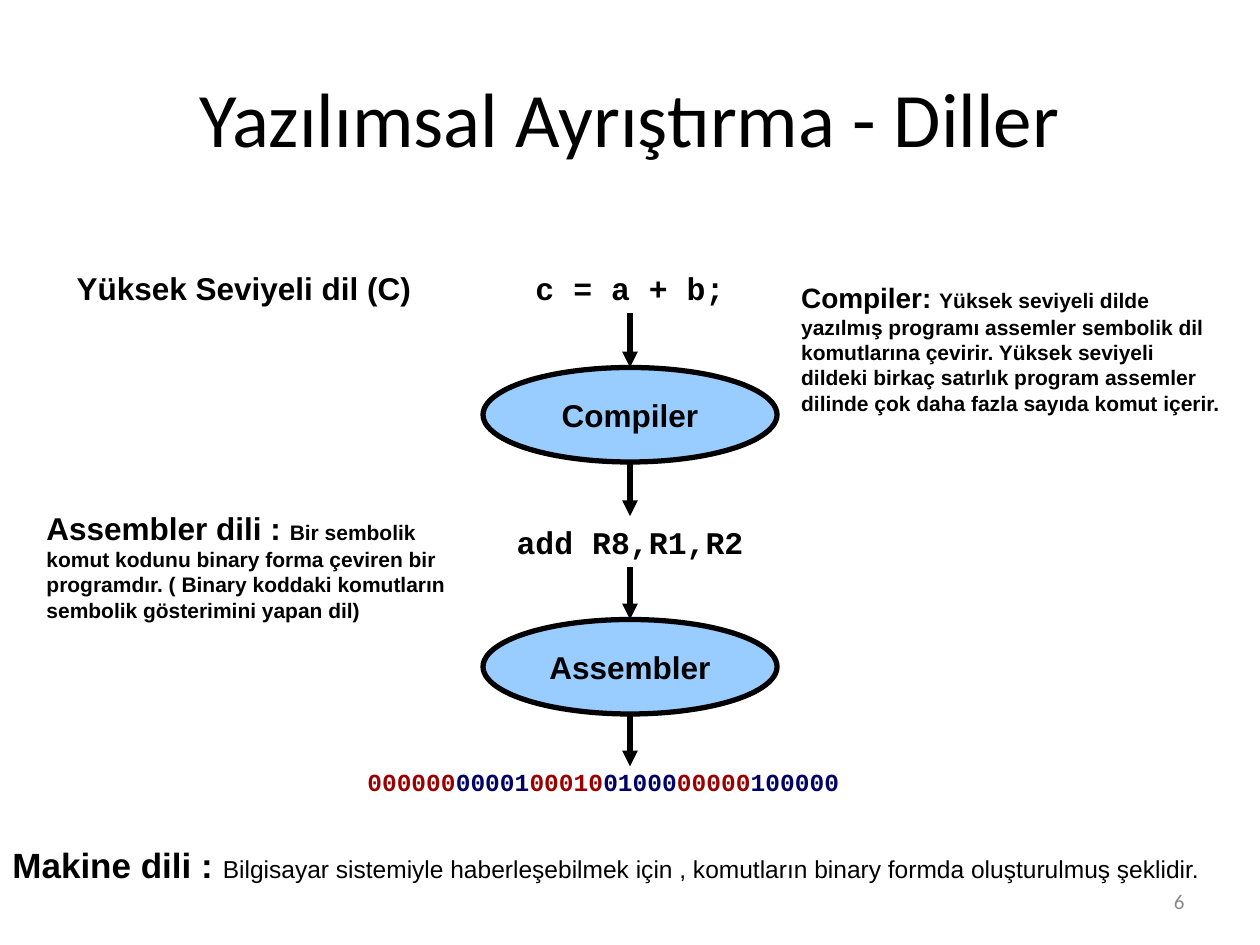
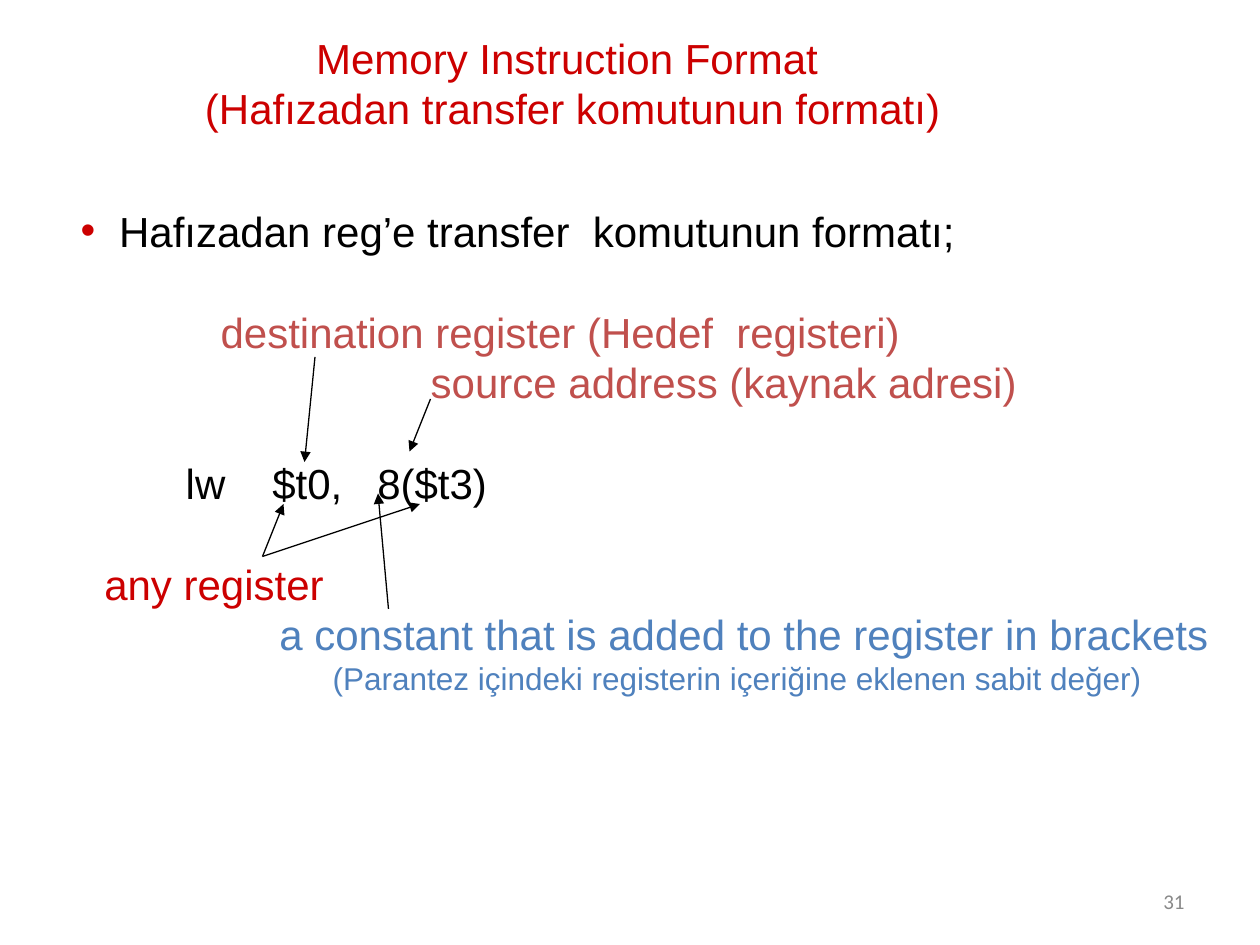
from itertools import cycle
from lxml.etree import SubElement
from pptx import Presentation
from pptx.dml.color import RGBColor
from pptx.enum.shapes import MSO_CONNECTOR, MSO_SHAPE
from pptx.enum.text import MSO_ANCHOR, PP_ALIGN
from pptx.oxml.ns import qn
from pptx.util import Pt

BLACK = RGBColor(0x00, 0x00, 0x00)
WHITE = RGBColor(0xFF, 0xFF, 0xFF)
GRAY = RGBColor(0x89, 0x89, 0x89)
SKY = RGBColor(0x99, 0xCC, 0xFF)
RED = RGBColor(0xCC, 0x00, 0x00)
BRICK = RGBColor(0xC0, 0x50, 0x4D)
BLUE = RGBColor(0x4F, 0x81, 0xBD)
MAROON = RGBColor(0x99, 0x00, 0x00)
NAVY = RGBColor(0x00, 0x00, 0x66)
SANS, TITLE, MONO = "Arial", "Calibri", "Courier New"
LEFT, MID, RIGHT = PP_ALIGN.LEFT, PP_ALIGN.CENTER, PP_ALIGN.RIGHT
LEAD = 1.2
AXIS = 360


def style(font, size=None, color=None, name=None, bold=None):
    if size:
        font.size = Pt(size)
    if color is not None:
        font.color.rgb = color
    if name:
        font.name = name
    if bold is not None:
        font.bold = bold


def add_box(slide, box, anchor=MSO_ANCHOR.MIDDLE):
    shape = slide.shapes.add_textbox(*map(Pt, box))
    shape.text_frame.word_wrap = True
    shape.text_frame.vertical_anchor = anchor
    return shape


def add_text(slide, box, text, size, name=SANS, color=BLACK, bold=False, align=LEFT):
    shape = add_box(slide, box)
    para = shape.text_frame.paragraphs[0]
    para.text = text
    para.alignment = align
    style(para.font, size, color, name, bold)
    return shape


def add_note(slide, box, term, big, text, small, bold=True, anchor=MSO_ANCHOR.MIDDLE):
    """A bold term, then its meaning in smaller type."""
    para = add_box(slide, box, anchor).text_frame.paragraphs[0]
    style(para.font, color=BLACK, name=SANS)
    for part, size, heavy in ((term, big, True), (text, small, bold)):
        run = para.add_run()
        run.text = part
        style(run.font, size, bold=heavy)


def add_arrow(slide, start, end, width):
    line = slide.shapes.add_connector(MSO_CONNECTOR.STRAIGHT, *map(Pt, start + end))
    line.line.color.rgb = BLACK
    line.line.width = Pt(width)
    SubElement(line.line._get_or_add_ln(), qn("a:tailEnd"), type="triangle")
    SubElement(line._element.spPr, qn("a:effectLst"))
    return line


def new_slide(deck, number):
    slide = deck.slides.add_slide(deck.slide_layouts[6])
    slide.background.fill.solid()
    slide.background.fill.fore_color.rgb = WHITE
    add_text(slide, (516, 500.5, 168, 28.75), number, 12, TITLE, GRAY, align=RIGHT)
    return slide


def add_code(slide, top, text):
    return add_text(slide, (AXIS - 75, top, 150, 29), text, 18, MONO, bold=True, align=MID)


def add_stage(slide, top, name, source, target=None):
    """A translator ellipse with an arrow in from its source and one out."""
    wide, high, gap = 168, 54, 30
    oval = slide.shapes.add_shape(
        MSO_SHAPE.OVAL, *map(Pt, (AXIS - wide / 2, top, wide, high)))
    oval.shadow.inherit = False
    oval.fill.solid()
    oval.fill.fore_color.rgb = SKY
    oval.line.color.rgb = BLACK
    oval.line.width = Pt(3)
    oval.text_frame.vertical_anchor = MSO_ANCHOR.MIDDLE
    para = oval.text_frame.paragraphs[0]
    para.text = name
    para.alignment = MID
    style(para.font, 18, BLACK, SANS, True)
    base = top + high
    enter = add_arrow(slide, (AXIS, top - gap), (AXIS, top), 3)
    enter.begin_connect(source, 2)
    enter.end_connect(oval, 0)
    leave = add_arrow(slide, (AXIS, base), (AXIS, base + gap), 3)
    if target is not None:
        leave.end_connect(target, 0)


def add_bits(slide, box, fields):
    para = add_box(slide, box).text_frame.paragraphs[0]
    para.alignment = MID
    style(para.font, 14, name=MONO, bold=True)
    for field, color in zip(fields, cycle((MAROON, NAVY))):
        run = para.add_run()
        run.text = field
        style(run.font, color=color)


def draw_langs(deck):
    slide = new_slide(deck, "6")
    add_text(slide, (36, 21.6, 648, 90), "Yazılımsal Ayrıştırma - Diller", 44, TITLE, align=MID)
    add_text(slide, (36.75, 150, 220, 29), "Yüksek Seviyeli dil (C)", 18, bold=True)
    high = add_code(slide, 150, "c = a + b;")
    low = add_code(slide, 295, "add R8,R1,R2")
    add_stage(slide, 210, "Compiler", high, low)
    add_stage(slide, 354, "Assembler", low)
    add_bits(slide, (95.75, 434.25, 498, 24.5),
             ("000000", "00001", "00010", "01000", "00000", "100000"))
    add_note(slide, (450.75, 157, 255, 84), "Compiler: ", 16,
             "Yüksek seviyeli dilde yazılmış programı assemler sembolik dil "
             "komutlarına çevirir. Yüksek seviyeli dildeki birkaç satırlık program "
             "assemler dilinde çok daha fazla sayıda komut içerir.", 12,
             anchor=MSO_ANCHOR.TOP)
    add_note(slide, (19.5, 287.25, 255, 72), "Assembler dili : ", 18,
             "Bir sembolik komut kodunu binary forma çeviren bir programdır. "
             "( Binary koddaki komutların sembolik gösterimini yapan dil)", 12)
    add_note(slide, (0, 478, 704, 31.5), "Makine dili : ", 20,
             "Bilgisayar sistemiyle haberleşebilmek için , komutların binary formda "
             "oluşturulmuş şeklidir.", 14, bold=False)


def add_bullet(para, hang):
    props = para._p.get_or_add_pPr()
    props.set("indent", str(-Pt(hang)))
    tint = SubElement(props, qn("a:buClr"))
    SubElement(tint, qn("a:srgbClr"), val=str(RED))
    SubElement(props, qn("a:buFont"), typeface=SANS)
    SubElement(props, qn("a:buChar"), char="•")


def add_tabs(para, stops):
    tabs = SubElement(para._p.get_or_add_pPr(), qn("a:tabLst"))
    for stop in stops:
        SubElement(tabs, qn("a:tab"), pos=str(Pt(stop)), algn="l")


def add_lines(slide, box, rows, align=LEFT):
    """Rows of (text, size, colour, indent, blank lines above, bullet, tabs)."""
    frame = add_box(slide, box, MSO_ANCHOR.TOP).text_frame
    for at, (text, size, color, indent, skip, dot, stops) in enumerate(rows):
        para = frame.add_paragraph() if at else frame.paragraphs[0]
        para.text = text
        para.alignment = align
        para.line_spacing = Pt(size * LEAD)
        if skip:
            para.space_before = Pt(skip * size * LEAD)
        para._p.get_or_add_pPr().set("marL", str(Pt(indent)))
        if dot:
            add_bullet(para, indent)
        if stops:
            add_tabs(para, stops)
        style(para.font, size, color, SANS)


def row(text, color, indent=0, skip=0, size=24, dot=False, stops=()):
    return text, size, color, indent, skip, dot, stops


def draw_format(deck):
    slide = new_slide(deck, "31")
    add_lines(slide, (100, 15, 448, 65), (
        row("Memory Instruction Format", RED),
        row("(Hafızadan transfer komutunun formatı)", RED, 6.5),
    ), MID)
    add_lines(slide, (39, 113.75, 672, 288), (
        row("Hafızadan reg’e transfer  komutunun formatı;", BLACK, 22, dot=True),
        row("destination register (Hedef  registeri)", BRICK, 80, 1),
        row("source address (kaynak adresi)", BRICK, 200),
        row("\tlw\t$t0,\t8($t3)", BLACK, skip=1, stops=(60, 109.5, 169.5)),
        row("any register", RED, 13.5, 1),
        row("a constant that is added to the register in brackets", BLUE, 113.5),
        row("(Parantez içindeki registerin içeriğine eklenen sabit değer)", BLUE, 144, size=18),
    ))
    origin = (150, 318)
    for start, end in (
        ((180, 204), (174, 264)),
        ((246, 228), (234, 258)),
        (origin, (162, 288)),
        (origin, (240, 288)),
        ((222, 348), (216, 282)),
    ):
        add_arrow(slide, start, end, 0.75)


def main():
    deck = Presentation()
    deck.slide_width, deck.slide_height = Pt(720), Pt(540)
    draw_langs(deck)
    draw_format(deck)
    deck.save("out.pptx")


if __name__ == "__main__":
    main()
